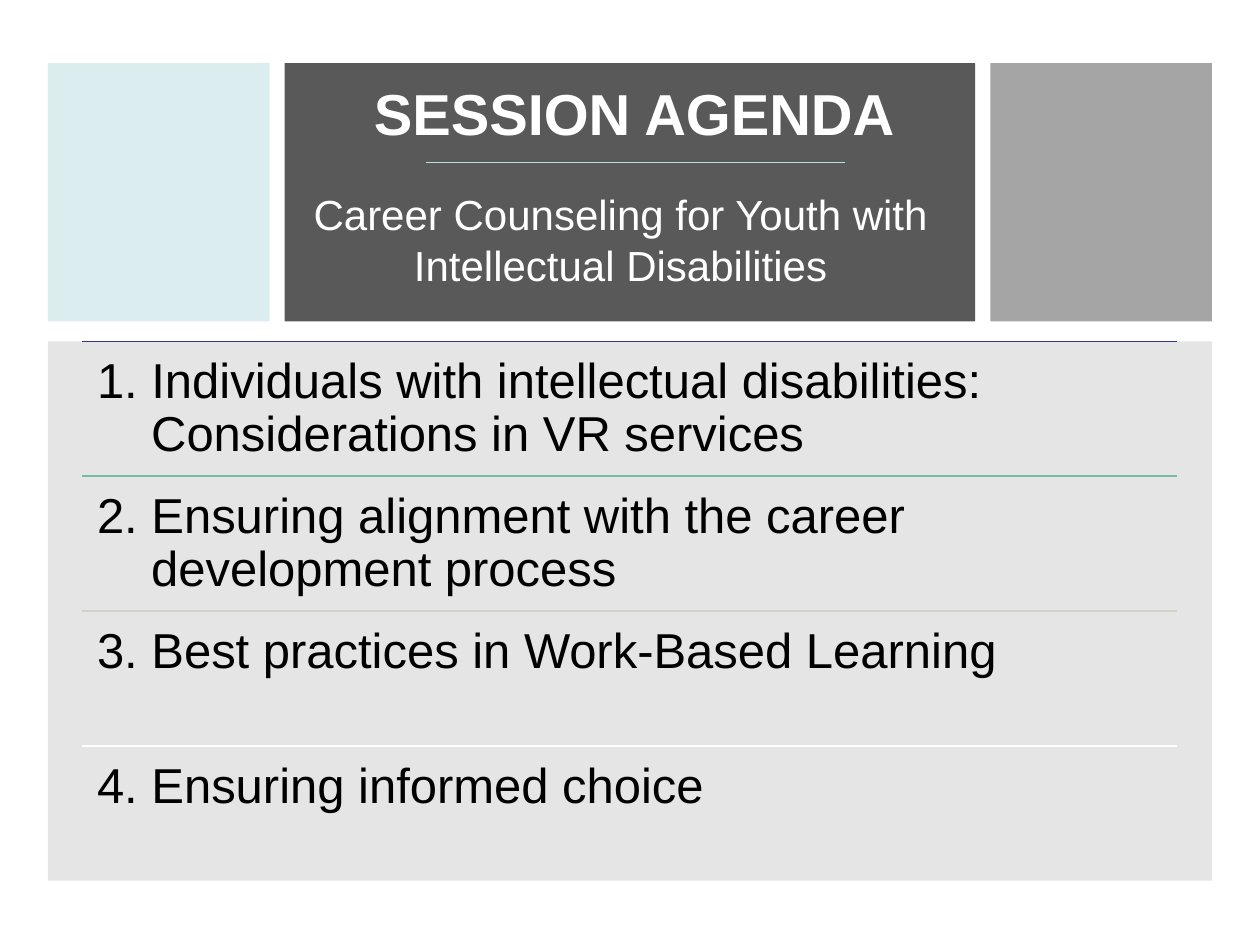
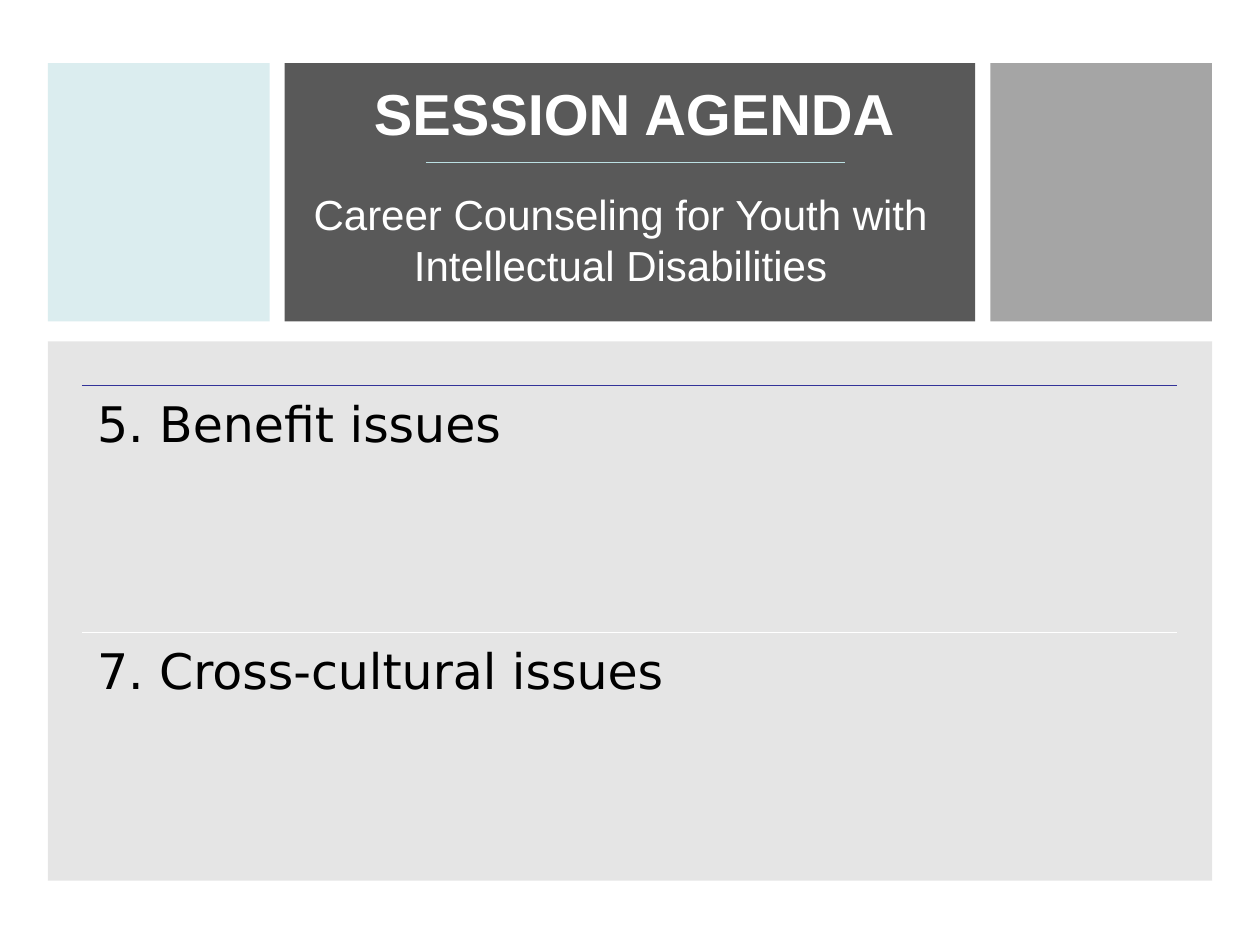
from collections import namedtuple
from dataclasses import dataclass

from pptx import Presentation
from pptx.dml.color import RGBColor
from pptx.enum.shapes import MSO_CONNECTOR, MSO_SHAPE
from pptx.enum.text import MSO_ANCHOR, PP_ALIGN
from pptx.oxml.ns import qn
from pptx.util import Pt
from lxml.etree import SubElement

EMU_PER_PX = 9144  # 100 px to the inch
Box = namedtuple("Box", "left top width height")


@dataclass(frozen=True)
class Theme:
    white: str = "FFFFFF"
    ink: str = "000000"
    pale_blue: str = "DAEDEF"
    charcoal: str = "595959"
    silver: str = "A5A5A5"
    panel: str = "808080"
    title_rule: str = "BBE0E3"
    navy: str = "333399"
    green: str = "77BBA4"
    sand: str = "CFD5C4"
    heading_font: str = "Arial"
    title_size: int = 33
    subtitle_size: int = 24
    item_size: int = 28


THEME = Theme()
HEADER = Box(38, 50, 924, 205)
BODY = Box(38, 271, 924, 428)
SIDE_WIDTH = 176
HEADER_GAP = 12


def px(length):
    return length * EMU_PER_PX


def add_block(slide, box, color, opacity=100):
    block = slide.shapes.add_shape(MSO_SHAPE.RECTANGLE, *map(px, box))
    block.shadow.inherit = False
    block.fill.solid()
    block.fill.fore_color.rgb = RGBColor.from_string(color)
    block.line.fill.background()
    if opacity < 100:
        tint = block.fill._xPr.find(".//" + qn("a:srgbClr"))
        SubElement(tint, qn("a:alpha")).set("val", str(opacity * 1000))


def add_rule(slide, left, top, width, color, weight):
    rule = slide.shapes.add_connector(
        MSO_CONNECTOR.STRAIGHT, px(left), px(top), px(left + width), px(top))
    rule.line.color.rgb = RGBColor.from_string(color)
    rule.line.width = Pt(weight)
    SubElement(rule._element.spPr, qn("a:effectLst"))


def add_text(slide, box, lines, font, size, color, bold=False,
             align=PP_ALIGN.LEFT, anchor=MSO_ANCHOR.TOP):
    """Place one paragraph, with a line break between the given lines."""
    frame = slide.shapes.add_textbox(*map(px, box)).text_frame
    frame.word_wrap = True
    frame.vertical_anchor = anchor
    paragraph = frame.paragraphs[0]
    paragraph.alignment = align
    for number, line in enumerate(lines):
        if number:
            paragraph.add_line_break()
        run = paragraph.add_run()
        run.text = line
        run.font.name = font
        run.font.size = Pt(size)
        run.font.bold = bold
        run.font.color.rgb = RGBColor.from_string(color)
    return frame


def add_header(slide, box):
    # Three blocks: narrow, wide, narrow
    middle_left = box.left + SIDE_WIDTH + HEADER_GAP
    middle_width = box.width - 2 * (SIDE_WIDTH + HEADER_GAP)
    right_left = box.left + box.width - SIDE_WIDTH
    add_block(slide, box._replace(width=SIDE_WIDTH), THEME.pale_blue, 95)
    add_block(slide, box._replace(left=middle_left, width=middle_width), THEME.charcoal)
    add_block(slide, box._replace(left=right_left, width=SIDE_WIDTH), THEME.silver)

    # Title, rule and subtitle
    add_text(slide, Box(middle_left + 8, box.top, middle_width - 9, 78),
             ["SESSION AGENDA"], THEME.heading_font, THEME.title_size, THEME.white,
             bold=True, align=PP_ALIGN.CENTER, anchor=MSO_ANCHOR.MIDDLE)
    add_rule(slide, middle_left + 112, box.top + 79, 333, THEME.title_rule, 0.5)
    add_text(slide, Box(middle_left + 1, box.top + 95, 531, 91),
             ["Career Counseling for Youth with Intellectual Disabilities"],
             THEME.heading_font, THEME.subtitle_size, THEME.white, align=PP_ALIGN.CENTER)


def add_agenda(slide, box, items, font):
    """Share the box equally among items, each a rule colour and its lines."""
    row_height = box.height // len(items)
    for row, (rule_color, lines) in enumerate(items):
        top = box.top + row * row_height
        add_rule(slide, box.left, top, box.width, rule_color, 1)
        frame = add_text(slide, Box(box.left, top, box.width, row_height),
                         lines, font, THEME.item_size, THEME.ink)
        frame.margin_left = frame.margin_right = px(12)
        frame.margin_top = frame.margin_bottom = px(12)
        paragraph = frame.paragraphs[0]
        paragraph.line_spacing = 0.9
        # Later lines hang under the words, past the number
        properties = paragraph._p.get_or_add_pPr()
        properties.set("marL", str(px(43)))
        properties.set("indent", str(px(-43)))


def add_agenda_slide(deck, items, font, inset_top=0):
    slide = deck.slides.add_slide(deck.slide_layouts[6])
    add_block(slide, BODY, THEME.panel, 20)
    add_header(slide, HEADER)
    agenda = Box(BODY.left + 27, BODY.top + inset_top, 869, BODY.height - inset_top)
    add_agenda(slide, agenda, items, font)


def main():
    deck = Presentation()
    deck.slide_width, deck.slide_height = px(1000), px(750)

    add_agenda_slide(deck, [
        (THEME.navy, ["1. Individuals with intellectual disabilities:",
                      "Considerations in VR services"]),
        (THEME.green, ["2. Ensuring alignment with the career",
                       "development process"]),
        (THEME.sand, ["3. Best practices in Work-Based Learning"]),
        (THEME.white, ["4. Ensuring informed choice"]),
    ], "Arial")

    add_agenda_slide(deck, [
        (THEME.navy, ["5. Benefit issues"]),
        (THEME.white, ["7. Cross-cultural issues"]),
    ], "DejaVu Sans", inset_top=35)

    deck.save("out.pptx")


if __name__ == "__main__":
    main()
